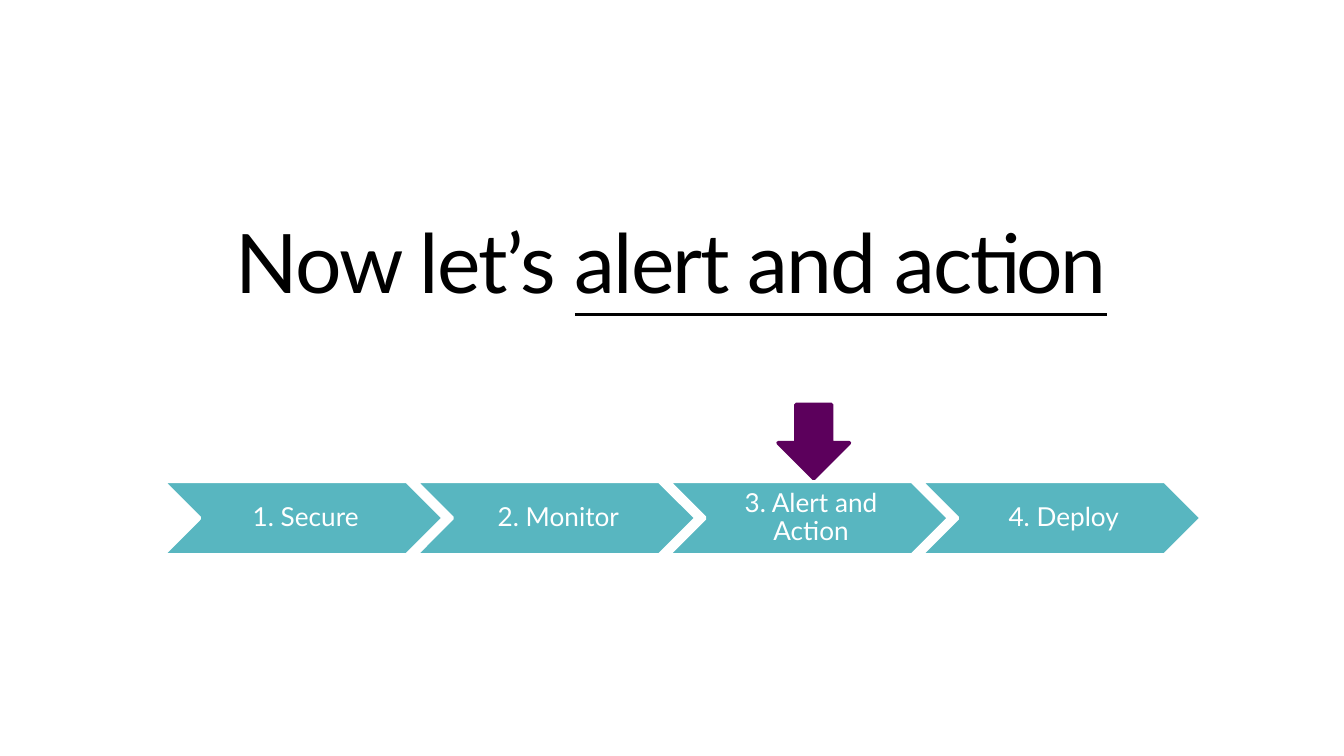
from pptx import Presentation
from pptx import util as u
from pptx.dml.color import RGBColor
from pptx.enum import shapes, text

BLACK = RGBColor(0x00, 0x00, 0x00)
WHITE = RGBColor(0xFF, 0xFF, 0xFF)
TEAL = RGBColor(0x58, 0xB6, 0xC0)
PURPLE = RGBColor(0x5C, 0x00, 0x5C)


def write(paragraph, words, font="Lato", size=14, color=WHITE,
          underline=None, spacing=None):
    """Add a run to a centred paragraph; spacing is in points."""
    paragraph.alignment = text.PP_ALIGN.CENTER
    paragraph.line_spacing = 0.9
    run = paragraph.add_run()
    run.text = words
    run.font.name = font
    run.font.size = u.Pt(size)
    run.font.color.rgb = color
    run.font.underline = underline
    if spacing is not None:
        run.font._element.set("spc", str(int(spacing * 100)))


class SlideBuilder:
    def __init__(self, slide, line_width=2):
        self.slide = slide
        self.line_width = u.Pt(line_width)

    def prepare_frame(self, shape, insets):
        frame = shape.text_frame
        frame.word_wrap = True
        frame.vertical_anchor = text.MSO_ANCHOR.MIDDLE
        (frame.margin_left, frame.margin_top,
         frame.margin_right, frame.margin_bottom) = map(u.Inches, insets)
        return frame.paragraphs[0]

    def textbox(self, left, top, width, height):
        box = self.slide.shapes.add_textbox(*map(u.Inches, (left, top, width, height)))
        return self.prepare_frame(box, (0, 0, 0, 0))

    def shape(self, kind, left, top, width, height, fill, line):
        shape = self.slide.shapes.add_shape(
            kind, *map(u.Inches, (left, top, width, height)))
        shape.shadow.inherit = False
        shape.fill.solid()
        shape.fill.fore_color.rgb = fill
        shape.line.color.rgb = line
        shape.line.width = self.line_width
        return shape

    def step(self, label, left, top, width, height):
        chevron = self.shape(shapes.MSO_SHAPE.CHEVRON, left, top, width, height,
                             TEAL, WHITE)
        write(self.prepare_frame(chevron, (0.06, 0.02, 0.02, 0.02)), label)


def main():
    # Widescreen slide, 16:9
    deck = Presentation()
    deck.slide_width, deck.slide_height = u.Inches(10), u.Inches(10 * 9 / 16)
    builder = SlideBuilder(deck.slides.add_slide(deck.slide_layouts[6]))

    # Title
    title = builder.textbox(0.42, 1.65, 9.15, 0.67)
    write(title, "Now let’s ", size=44, color=BLACK, spacing=-1)
    write(title, "alert and action", size=44, color=BLACK, underline=True, spacing=-1)

    # Process steps
    steps = ["1. Secure", "2. Monitor", "3. Alert and Action", "4. Deploy"]
    for index, label in enumerate(steps):
        builder.step(label, 1.21 + index * 1.88, 3.58, 2.09, 0.55)

    # Marker above the current step
    builder.shape(shapes.MSO_SHAPE.DOWN_ARROW, 5.79, 3.01, 0.53, 0.55, PURPLE, PURPLE)

    deck.save("out.pptx")


if __name__ == "__main__":
    main()
